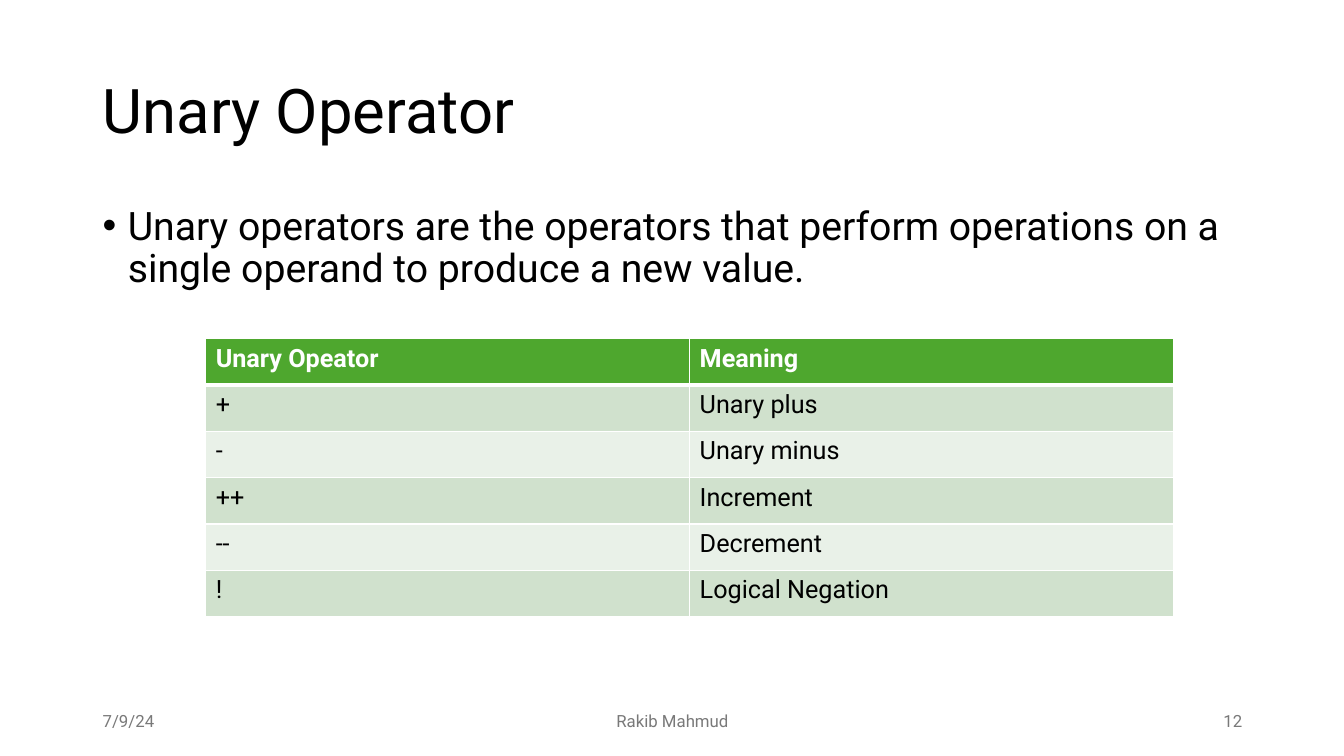
"""Build the Unary Operator slide."""
from lxml.etree import SubElement
from pptx import Presentation
from pptx.dml.color import RGBColor
from pptx.enum.text import MSO_ANCHOR, PP_ALIGN
from pptx.oxml.ns import qn
from pptx.util import Inches, Pt

COLORS = {
    "text": "000000",
    "footer": "797979",
    "white": "FFFFFF",
    "header": "4EA72E",
    "odd": "D0E1CD",
    "even": "E9F1E8",
}
FONT = "Roboto"
OPERATORS = [
    ("Unary Opeator", "Meaning"),
    ("+", "Unary plus"),
    ("-", "Unary minus"),
    ("++", "Increment"),
    ("--", "Decrement"),
    ("!", "Logical Negation"),
]
FOOTERS = [
    ("7/9/24", 0.92, 3, PP_ALIGN.LEFT),
    ("Rakib Mahmud", 4.42, 4.5, PP_ALIGN.CENTER),
    ("12", 9.42, 3, PP_ALIGN.RIGHT),
]


def apply(obj, values):
    """Set each named attribute on the object."""
    for name, value in values.items():
        setattr(obj, name, value)


def add_run(p, text, size, color, bold=False):
    """Add a formatted run to a paragraph."""
    r = p.add_run()
    r.text = text
    apply(r.font, {"name": FONT, "size": Pt(size), "bold": bold})
    r.font.color.rgb = RGBColor.from_string(COLORS[color])


def add_text(slide, text, box, size, color="text", anchor=MSO_ANCHOR.MIDDLE, **para):
    """Add a wrapped text box and return its paragraph."""
    tf = slide.shapes.add_textbox(*map(Inches, box)).text_frame
    apply(tf, {"word_wrap": True, "vertical_anchor": anchor})
    p = tf.paragraphs[0]
    apply(p, para)
    add_run(p, text, size, color)
    return p


def add_bullet(p, indent):
    """Give a paragraph a round bullet and a hanging indent."""
    pPr = p._p.get_or_add_pPr()
    pPr.set("marL", str(Inches(indent)))
    pPr.set("indent", str(Inches(-indent)))
    SubElement(pPr, qn("a:buFont"), typeface="Arial")
    SubElement(pPr, qn("a:buChar"), char="•")


def add_borders(cell, top, bottom):
    """Draw white borders with the given top and bottom widths."""
    tcPr = cell._tc.get_or_add_tcPr()
    for side, width in {"L": 1, "R": 1, "T": top, "B": bottom}.items():
        ln = SubElement(tcPr, qn(f"a:ln{side}"), w=str(Pt(width)))
        fill = SubElement(ln, qn("a:solidFill"))
        SubElement(fill, qn("a:srgbClr"), val=COLORS["white"])


def add_operator_table(slide, rows, left, top, col_width, row_height):
    """Add the banded table with a header row."""
    n_rows, n_cols = len(rows), len(rows[0])
    table = slide.shapes.add_table(
        n_rows, n_cols, Inches(left), Inches(top),
        Inches(col_width * n_cols), Inches(row_height * n_rows)).table
    for i, row in enumerate(rows):
        header = i == 0
        band = "header" if header else "odd" if i % 2 else "even"
        for j, text in enumerate(row):
            cell = table.cell(i, j)
            add_borders(cell, 3 if i == 1 else 1, 3 if header else 1)
            cell.fill.solid()
            cell.fill.fore_color.rgb = RGBColor.from_string(COLORS[band])
            add_run(cell.text_frame.paragraphs[0], text, 18,
                    "white" if header else "text", header)


def main():
    """Build and save the slide."""
    prs = Presentation()
    apply(prs, {"slide_width": Inches(13.33), "slide_height": Inches(7.5)})
    slide = prs.slides.add_slide(prs.slide_layouts[6])
    add_text(slide, "Unary Operator", (0.92, 0.4, 11.5, 1.45), 44, line_spacing=0.9)
    p = add_text(
        slide,
        "Unary operators are the operators that perform operations on a "
        "single operand to produce a new value.",
        (0.92, 2, 11.5, 4.76), 28, anchor=MSO_ANCHOR.TOP,
        line_spacing=0.9, space_before=Pt(10))
    add_bullet(p, 0.25)
    add_operator_table(slide, OPERATORS, 2.04, 3.36, 4.8, 0.46)
    for text, left, width, align in FOOTERS:
        add_text(slide, text, (left, 6.95, width, 0.4), 12, "footer", alignment=align)
    prs.save("out.pptx")


if __name__ == "__main__":
    main()
